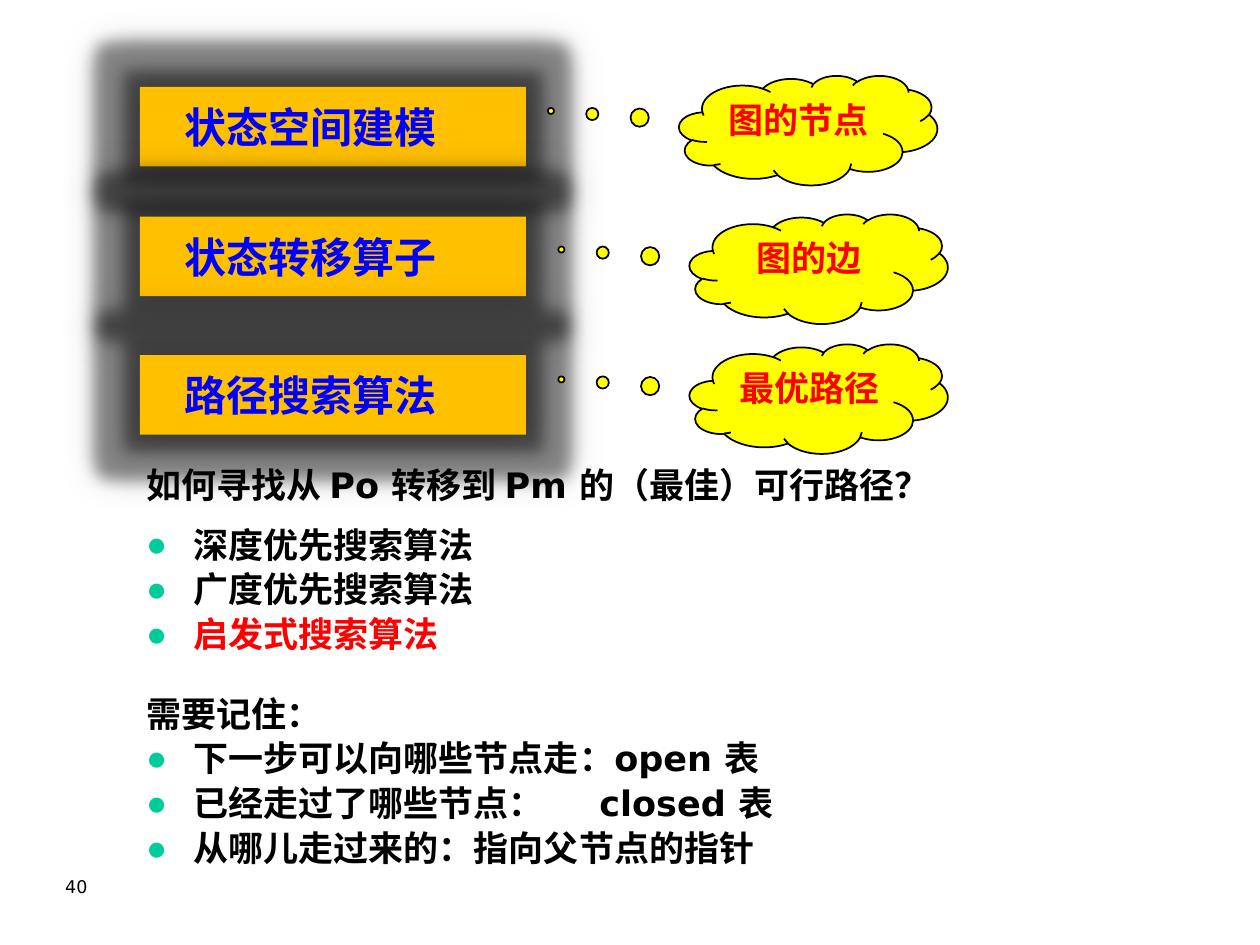
import pptx
import pptx.util
import pptx.dml.color
import pptx.enum.shapes
import pptx.enum.text
import lxml.etree

Pt = pptx.util.Pt
KIND = pptx.enum.shapes.MSO_SHAPE
ALIGN = pptx.enum.text.PP_ALIGN
ANCHOR = pptx.enum.text.MSO_ANCHOR
NS = "http://schemas.openxmlformats.org/drawingml/2006/main"

# Content: box text, box top, cloud text, cloud left, cloud top
STEPS = [
    ("状态空间建模", 49.7, "图的节点", 388, 43.2),
    ("状态转移算子", 123.8, "图的边", 394, 122.4),
    ("路径搜索算法", 203, "最优路径", 394, 196.6),
]
ASK = "如何寻找从 Po 转移到 Pm 的（最佳）可行路径？"
# List rows: text, bullet, colour
WAYS = [
    ("深度优先搜索算法", True, "000000"),
    ("广度优先搜索算法", True, "000000"),
    ("启发式搜索算法", True, "FF0000"),
]
NOTES = [
    ("需要记住：", False, "000000"),
    ("下一步可以向哪些节点走：open 表", True, "000000"),
    ("已经走过了哪些节点：\tclosed 表", True, "000000"),
    ("从哪儿走过来的：指向父节点的指针", True, "000000"),
]
PAGE = "40"


def color(code):
    return pptx.dml.color.RGBColor.from_string(code)


def node(up, tag, **attrs):
    return lxml.etree.SubElement(up, f"{{{NS}}}{tag}", attrs)


def place(shape, left, top, wide, high):
    shape.left, shape.top = Pt(left), Pt(top)
    shape.width, shape.height = Pt(wide), Pt(high)


def write(para, text, size=20, font="DejaVu Sans", ink="000000", bold=True,
          align=ALIGN.LEFT, before=0, lines=1.0):
    run = para.add_run()
    run.text = text
    run.font.size, run.font.name, run.font.bold = Pt(size), font, bold
    run.font.color.rgb = color(ink)
    para.alignment, para.line_spacing = align, lines
    para.space_before, para.space_after = Pt(before), Pt(0)


def frame(shape, anchor):
    area = shape.text_frame
    area.word_wrap = True
    area.auto_size = pptx.enum.text.MSO_AUTO_SIZE.NONE
    area.vertical_anchor = anchor
    return area


def indent(para, left, hang=0):
    props = para._p.get_or_add_pPr()
    props.set("marL", str(Pt(left)))
    props.set("indent", str(Pt(-hang)))
    return props


def fill_list(shape, rows):
    area = frame(shape, ANCHOR.TOP)
    for i, (text, mark, ink) in enumerate(rows):
        para = area.add_paragraph() if i else area.paragraphs[0]
        write(para, text, ink=ink, before=4, lines=0.9)
        props = indent(para, 27, 27)
        if mark:
            node(node(props, "buClr"), "srgbClr", val="00CC99")
            node(props, "buFont", typeface="Arial")
            node(props, "buChar", char="●")
        else:
            node(props, "buNone")
        if "\t" in text:
            node(node(props, "tabLst"), "tab", pos=str(Pt(259)), algn="l")


def halo(shape):
    # Dark glow with a soft shadow
    fx = node(shape._element.spPr, "effectLst")
    glow = node(fx, "glow", rad=str(Pt(18)))
    shade = node(fx, "outerShdw", blurRad=str(Pt(18)), dist="0", algn="ctr")
    for part in (glow, shade):
        node(node(part, "srgbClr", val="000000"), "alpha", val="40000")


def add(slide, kind, spot, fill):
    shape = slide.shapes.add_shape(kind, *map(Pt, spot))
    shape.fill.solid()
    shape.fill.fore_color.rgb = color(fill)
    return shape


def main():
    deck = pptx.Presentation()
    deck.slide_width, deck.slide_height = Pt(720), Pt(540)
    slide = deck.slides.add_slide(deck.slide_layouts[3])

    # State boxes
    for name, top, *_ in STEPS:
        box = add(slide, KIND.RECTANGLE, (80, top, 220.5, 45.4), "FFC000")
        box.line.fill.background()
        halo(box)
        para = frame(box, ANCHOR.MIDDLE).paragraphs[0]
        write(para, name, size=24, font="Arial", ink="0000FF")
        indent(para, 18.5)

    # Thought clouds
    for _, _, name, left, top in STEPS:
        cloud = add(slide, KIND.CLOUD_CALLOUT, (left, top, 147.6, 62.6), "FFFF00")
        cloud.shadow.inherit = False
        cloud.line.color.rgb = color("000000")
        cloud.line.width = Pt(1)
        cloud.adjustments[0], cloud.adjustments[1] = -0.996, -0.177
        write(frame(cloud, ANCHOR.TOP).paragraphs[0], name, font="Arial",
              ink="FF0000", align=ALIGN.CENTER)

    # Question and lists, brought in front of the halos
    title, ways, notes = list(slide.placeholders)[:3]
    place(title, 76.3, 264.2, 516, 28)
    write(frame(title, ANCHOR.MIDDLE).paragraphs[0], ASK, lines=0.9)
    place(ways, 76.3, 298, 312, 91)
    fill_list(ways, WAYS)
    place(notes, 76.3, 394.6, 567, 119)
    fill_list(notes, NOTES)
    for shape in (title, ways, notes):
        slide.shapes._spTree.append(shape._element)

    # Page number
    page = slide.shapes.add_textbox(*map(Pt, (30.2, 496.8, 168, 19.4)))
    write(frame(page, ANCHOR.MIDDLE).paragraphs[0], PAGE, size=10, bold=False)

    deck.save("out.pptx")


if __name__ == "__main__":
    main()
